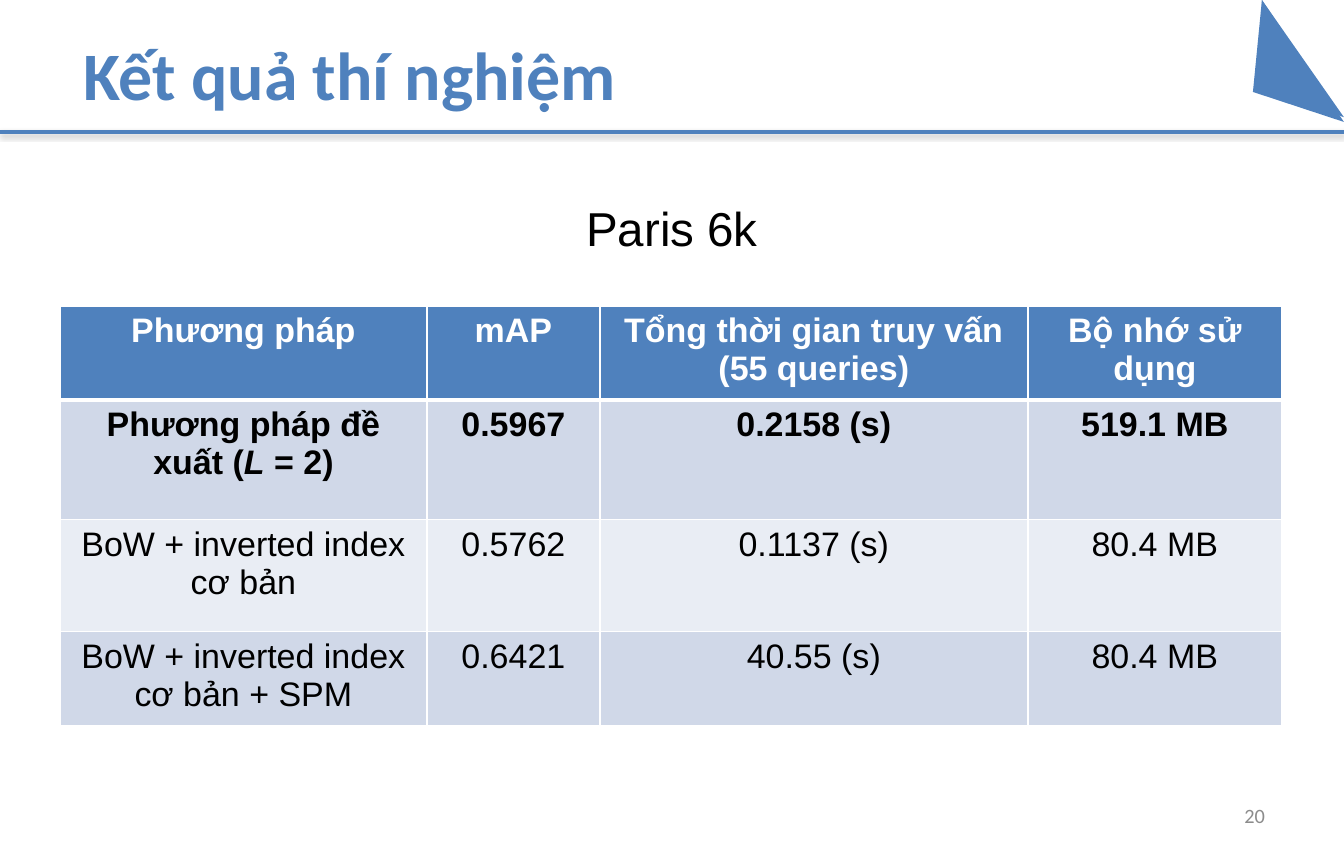
from lxml import etree
from pptx import Presentation
from pptx.dml.color import RGBColor
from pptx.enum.shapes import MSO_CONNECTOR, MSO_SHAPE
from pptx.enum.text import MSO_ANCHOR, PP_ALIGN
from pptx.oxml.ns import qn
from pptx.util import Pt

LEFT, CENTER, RIGHT = PP_ALIGN.LEFT, PP_ALIGN.CENTER, PP_ALIGN.RIGHT
TOP, MIDDLE = MSO_ANCHOR.TOP, MSO_ANCHOR.MIDDLE
TRIANGLE = MSO_SHAPE.ISOSCELES_TRIANGLE
STRAIGHT = MSO_CONNECTOR.STRAIGHT

SCALE = 7483  # EMU in one px
WIDTH, HEIGHT = 1344, 855
COLORS = {
    "blue": "4F81BD",
    "gray": "8C8C8C",
    "black": "000000",
    "white": "FFFFFF",
    "band": "D0D8E8",
    "pale": "E9EDF4",
}


def emu(*sizes):
    return [size * SCALE for size in sizes]


def color(name):
    return RGBColor.from_string(COLORS[name])


class Painter:
    def __init__(self, slide):
        self.slide = slide
        self.shapes = slide.shapes

    def add_runs(self, frame, runs, size, font, ink, align, bold=False):
        """Each run is a pair of text and italic flag."""
        par = frame.paragraphs[0]
        par.alignment = align
        for text, slant in runs:
            run = par.add_run()
            run.text = text
            run.font.size = Pt(size)
            run.font.name = font
            run.font.bold = bold
            run.font.italic = slant
            run.font.color.rgb = color(ink)

    def text(self, box, words, size, font, ink, align=LEFT, anchor=MIDDLE, bold=False):
        frame = self.shapes.add_textbox(*emu(*box)).text_frame
        frame.word_wrap = True
        frame.vertical_anchor = anchor
        self.add_runs(frame, [(words, False)], size, font, ink, align, bold)

    def paint(self, shape, fill):
        shape.shadow.inherit = False
        shape.fill.solid()
        shape.fill.fore_color.rgb = color(fill)
        shape.line.fill.background()

    def outline(self, points, fill):
        build = self.shapes.build_freeform(*points[0], scale=SCALE)
        build.add_line_segments(points[1:], close=True)
        self.paint(build.convert_to_shape(), fill)

    def preset(self, kind, box, fill, turn=0):
        shape = self.shapes.add_shape(kind, *emu(*box))
        shape.rotation = turn
        self.paint(shape, fill)

    def line(self, start, end, ink, width):
        """Draw a line with a soft shadow below it."""
        rule = self.shapes.add_connector(STRAIGHT, *emu(*start, *end))
        rule.line.color.rgb = color(ink)
        rule.line.width = Pt(width)
        props = rule._element.spPr
        effects = etree.SubElement(props, qn("a:effectLst"))
        shade = etree.SubElement(effects, qn("a:outerShdw"), blurRad="40000",
                                 dist="20000", dir="5400000", rotWithShape="0")
        tint = etree.SubElement(shade, qn("a:srgbClr"), val=COLORS["black"])
        etree.SubElement(tint, qn("a:alpha"), val="38000")

    def border(self, cell, widths):
        """Set the left, right, top and bottom borders in points."""
        props = cell._tc.get_or_add_tcPr()
        for spot, (side, width) in enumerate(zip("LRTB", widths)):
            edge = etree.Element(qn(f"a:ln{side}"), w=str(Pt(width)))
            fill = etree.SubElement(edge, qn("a:solidFill"))
            etree.SubElement(fill, qn("a:srgbClr"), val=COLORS["white"])
            props.insert(spot, edge)

    def table(self, left, top, cols, rows, data, fills):
        box = emu(left, top, sum(cols), sum(rows))
        grid = self.shapes.add_table(len(rows), len(cols), *box).table
        grid.first_row = grid.horz_banding = False
        for col, width in zip(grid.columns, emu(*cols)):
            col.width = width
        for row, height in zip(grid.rows, emu(*rows)):
            row.height = height
        for r, (line, fill) in enumerate(zip(data, fills)):
            for c, item in enumerate(line):
                cell = grid.cell(r, c)
                cell.fill.solid()
                cell.fill.fore_color.rgb = color(fill)
                self.border(cell, (1, 1, 3 if r == 1 else 1, 3 if r == 0 else 1))
                runs = [(item, False)] if isinstance(item, str) else item
                ink = "white" if r == 0 else "black"
                self.add_runs(cell.text_frame, runs, 20, "Arial", ink, CENTER, r < 2)


def main():
    deck = Presentation()
    deck.slide_width, deck.slide_height = emu(WIDTH, HEIGHT)
    page = Painter(deck.slides.add_slide(deck.slide_layouts[6]))

    # Corner mark
    page.outline([(1344, 122), (1253, 92), (1262, 0)], "blue")
    page.preset(TRIANGLE, (1211, 48, 143, 50), "blue", 235)

    # Title, page number and rule
    page.text((71, 0, 1171, 147), "Kết quả thí nghiệm", 40, "Calibri", "blue", bold=True)
    page.text((963, 793, 314, 45), "20", 12, "Calibri", "gray", RIGHT)
    page.line((0, 132), (WIDTH, 132), "blue", 2)

    # Results
    data = [
        ["Phương pháp", "mAP", "Tổng thời gian truy vấn (55 queries)", "Bộ nhớ sử dụng"],
        [[("Phương pháp đề xuất (", False), ("L", True), (" = 2)", False)],
         "0.5967", "0.2158 (s)", "519.1 MB"],
        ["BoW + inverted index cơ bản", "0.5762", "0.1137 (s)", "80.4 MB"],
        ["BoW + inverted index cơ bản + SPM", "0.6421", "40.55 (s)", "80.4 MB"],
    ]
    page.table(60, 306, (367, 173, 428, 254), (87, 120, 112, 88), data,
               ("blue", "band", "pale", "band"))

    # Data set name
    page.text((0, 193, WIDTH, 70), "Paris 6k", 28, "Arial", "black", CENTER, TOP)

    deck.save("out.pptx")


if __name__ == "__main__":
    main()
